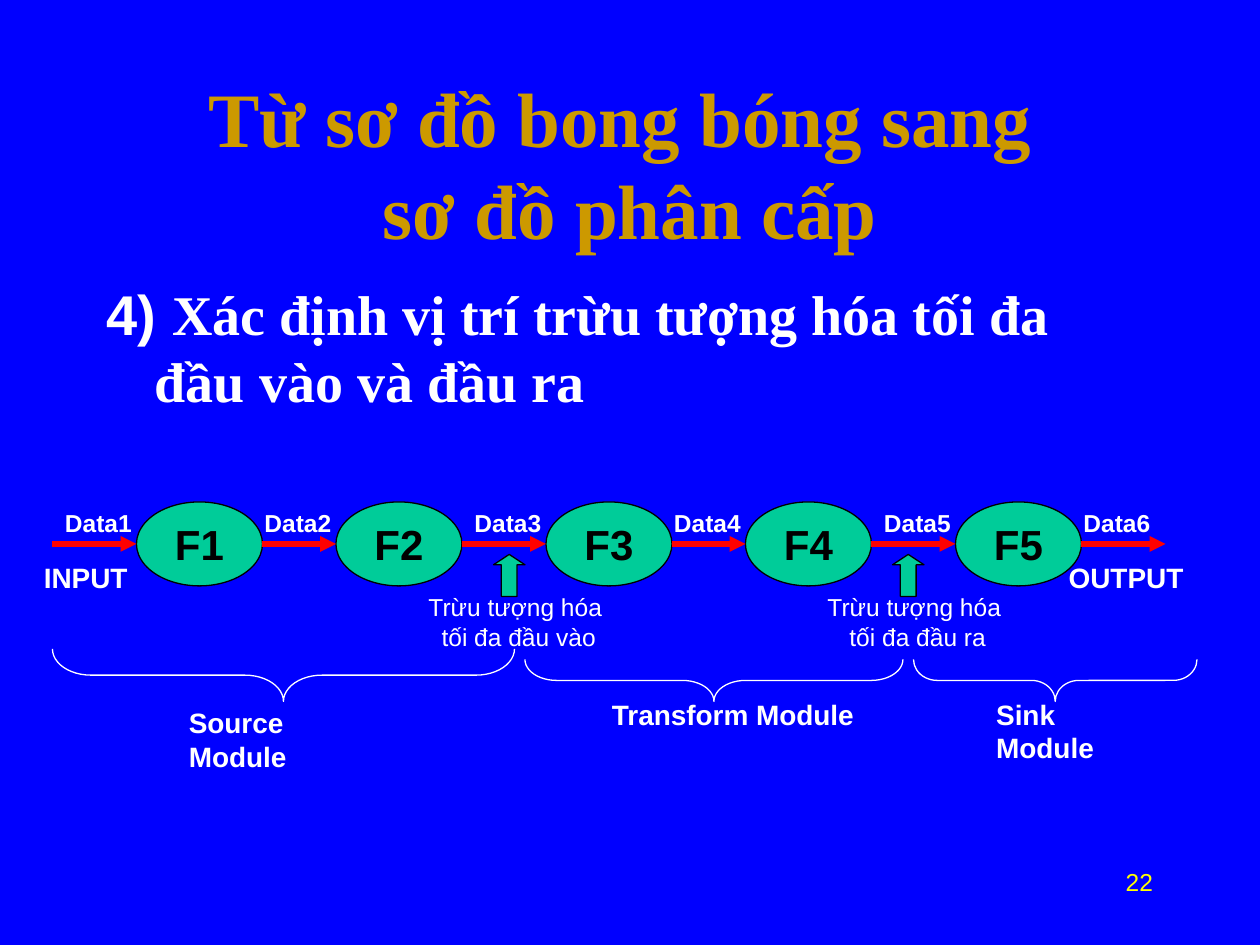
from dataclasses import dataclass

from lxml.etree import SubElement
from pptx import Presentation
from pptx.dml.color import RGBColor
from pptx.enum.shapes import MSO_CONNECTOR as Connector, MSO_SHAPE as Shape
from pptx.enum.text import MSO_ANCHOR as Anchor, MSO_AUTO_SIZE as AutoSize, PP_ALIGN as Align
from pptx.oxml.ns import qn
from pptx.util import Inches, Pt

BLUE = RGBColor(0x00, 0x00, 0xFF)
GOLD = RGBColor(0xCC, 0x99, 0x00)
WHITE = RGBColor(0xFF, 0xFF, 0xFF)
GREEN = RGBColor(0x00, 0xCC, 0x99)
BLACK = RGBColor(0x00, 0x00, 0x00)
RED = RGBColor(0xFF, 0x00, 0x00)
YELLOW = RGBColor(0xFF, 0xFF, 0x00)

SANS, SERIF = "Arial", "Times New Roman"
CELL = Inches(1) / 12
FLOW_ROW = 51.8
BUBBLE_WIDTH, BUBBLE_HEIGHT = 12, 8


@dataclass(frozen=True)
class Box:
    column: float
    row: float
    columns: float
    rows: float

    def emu(self) -> tuple[int, ...]:
        return tuple(round(n * CELL) for n in (self.column, self.row, self.columns, self.rows))


@dataclass(frozen=True)
class Label:
    text: str
    box: Box
    size: int = 16
    bold: bool = True
    color: RGBColor = WHITE
    align: Align = Align.LEFT
    wrap: bool = False
    right_inset: float = 0.1


def style_font(font, size: int, color: RGBColor, bold: bool = True, name: str = SANS) -> None:
    font.name, font.size, font.bold = name, Pt(size), bold
    font.color.rgb = color


def draw_title(slide, text: str, box: Box) -> None:
    title = slide.shapes.title
    title.left, title.top, title.width, title.height = box.emu()
    frame = title.text_frame
    frame.auto_size = AutoSize.NONE
    frame.vertical_anchor = Anchor.MIDDLE
    frame.text = text
    paragraph = frame.paragraphs[0]
    paragraph.alignment = Align.CENTER
    style_font(paragraph.font, 44, GOLD, name=SERIF)


def draw_step(slide, number: str, text: str, box: Box) -> None:
    frame = slide.shapes.add_textbox(*box.emu()).text_frame
    frame.word_wrap = True
    paragraph = frame.paragraphs[0]
    paragraph.space_before = Pt(8)
    properties = paragraph._p.get_or_add_pPr()
    properties.set("marL", str(Inches(0.38)))
    properties.set("indent", str(-Inches(0.38)))
    for words, name in ((number, SANS), (text, SERIF)):
        run = paragraph.add_run()
        run.text = words
        style_font(run.font, 32, WHITE, name=name)


def draw_label(slide, label: Label) -> None:
    frame = slide.shapes.add_textbox(*label.box.emu()).text_frame
    frame.word_wrap = label.wrap
    frame.auto_size = AutoSize.NONE if label.wrap else AutoSize.SHAPE_TO_FIT_TEXT
    frame.margin_right = Inches(label.right_inset)
    frame.text = label.text
    for paragraph in frame.paragraphs:
        paragraph.alignment = label.align
        style_font(paragraph.font, label.size, label.color, label.bold)


def draw_solid(slide, kind: Shape, box: Box):
    shape = slide.shapes.add_shape(kind, *box.emu())
    shape.shadow.inherit = False
    shape.fill.solid()
    shape.fill.fore_color.rgb = GREEN
    shape.line.color.rgb = BLACK
    shape.line.width = Pt(0.75)
    return shape


def draw_bubble(slide, text: str, column: float) -> None:
    top = FLOW_ROW - BUBBLE_HEIGHT / 2
    bubble = draw_solid(slide, Shape.OVAL, Box(column, top, BUBBLE_WIDTH, BUBBLE_HEIGHT))
    frame = bubble.text_frame
    frame.word_wrap = False
    frame.vertical_anchor = Anchor.MIDDLE
    frame.text = text
    paragraph = frame.paragraphs[0]
    paragraph.alignment = Align.CENTER
    style_font(paragraph.font, 24, BLACK)


def draw_flow_arrow(slide, start: float, end: float) -> None:
    row = round(FLOW_ROW * CELL)
    arrow = slide.shapes.add_connector(
        Connector.STRAIGHT, round(start * CELL), row, round(end * CELL), row)
    arrow.line.color.rgb = RED
    arrow.line.width = Pt(3)
    SubElement(arrow.line._get_or_add_ln(), qn("a:tailEnd"), type="triangle")
    SubElement(arrow._element.spPr, qn("a:effectLst"))


def draw_brace(slide, span: Box) -> None:
    length, depth = span.columns, span.rows
    upright = Box(span.column + (length - depth) / 2, span.row + (depth - length) / 2,
                  depth, length)
    brace = slide.shapes.add_shape(Shape.LEFT_BRACE, *upright.emu())
    brace.rotation = 270
    brace.adjustments[0] = length / depth / 12
    brace.shadow.inherit = False
    brace.fill.background()
    brace.line.color.rgb = WHITE
    brace.line.width = Pt(0.75)


BUBBLE_COLUMNS = (13, 32, 52, 71, 91)
ARROW_STARTS = (5, *(column + BUBBLE_WIDTH for column in BUBBLE_COLUMNS))
ARROW_ENDS = (*BUBBLE_COLUMNS, 111)
DATA_COLUMNS = (5, 24, 44, 63, 83, 102)
BRACES = (Box(5, 61.8, 44, 5), Box(50, 62.8, 36, 4), Box(87, 62.8, 27, 4))
ABSTRACTIONS = ((47, "Trừu tượng hóa \ntối đa đầu vào"), (85, "Trừu tượng hóa \ntối đa đầu ra"))
LABELS = (
    Label("INPUT", Box(3, 52.8, 10.8, 4.4)),
    Label("OUTPUT", Box(100.6, 52.8, 13.4, 4.4)),
    Label("Source Module", Box(16.8, 66.6, 21.4, 4.4), wrap=True, right_inset=0.5),
    Label("Transform Module", Box(57.1, 65.8, 25.6, 4.4)),
    Label("Sink Module", Box(93.7, 65.8, 18, 4.4), wrap=True, right_inset=0.5),
    Label("22", Box(86, 82, 25, 6), 14, False, YELLOW, Align.RIGHT, True),
)


def main() -> None:
    presentation = Presentation()
    presentation.slide_width, presentation.slide_height = Inches(10), Inches(7.5)
    slide = presentation.slides.add_slide(presentation.slide_layouts[5])
    slide.background.fill.solid()
    slide.background.fill.fore_color.rgb = BLUE

    draw_title(slide, "Từ sơ đồ bong bóng sang \vsơ đồ phân cấp", Box(9, 8, 102, 15))
    draw_step(slide, "4) ", "Xác định vị trí trừu tượng hóa tối đa đầu vào và đầu ra",
              Box(9, 26, 102, 54))
    for number, column in enumerate(BUBBLE_COLUMNS, 1):
        draw_bubble(slide, f"F{number}", column)
    for number, column in enumerate(DATA_COLUMNS, 1):
        draw_label(slide, Label(f"Data{number}", Box(column, 47.8, 8.8, 4.1), 14))
    for start, end in zip(ARROW_STARTS, ARROW_ENDS):
        draw_flow_arrow(slide, start, end)
    for column, text in ABSTRACTIONS:
        pointer = draw_solid(slide, Shape.UP_ARROW, Box(column, 52.8, 3, 4))
        pointer.adjustments[1] = 0.33
        draw_label(slide, Label(text, Box(column - 7.4, 55.8, 19.6, 6.8), 14, False,
                                align=Align.CENTER))
    for span in BRACES:
        draw_brace(slide, span)
    for label in LABELS:
        draw_label(slide, label)

    presentation.save("out.pptx")


if __name__ == "__main__":
    main()
